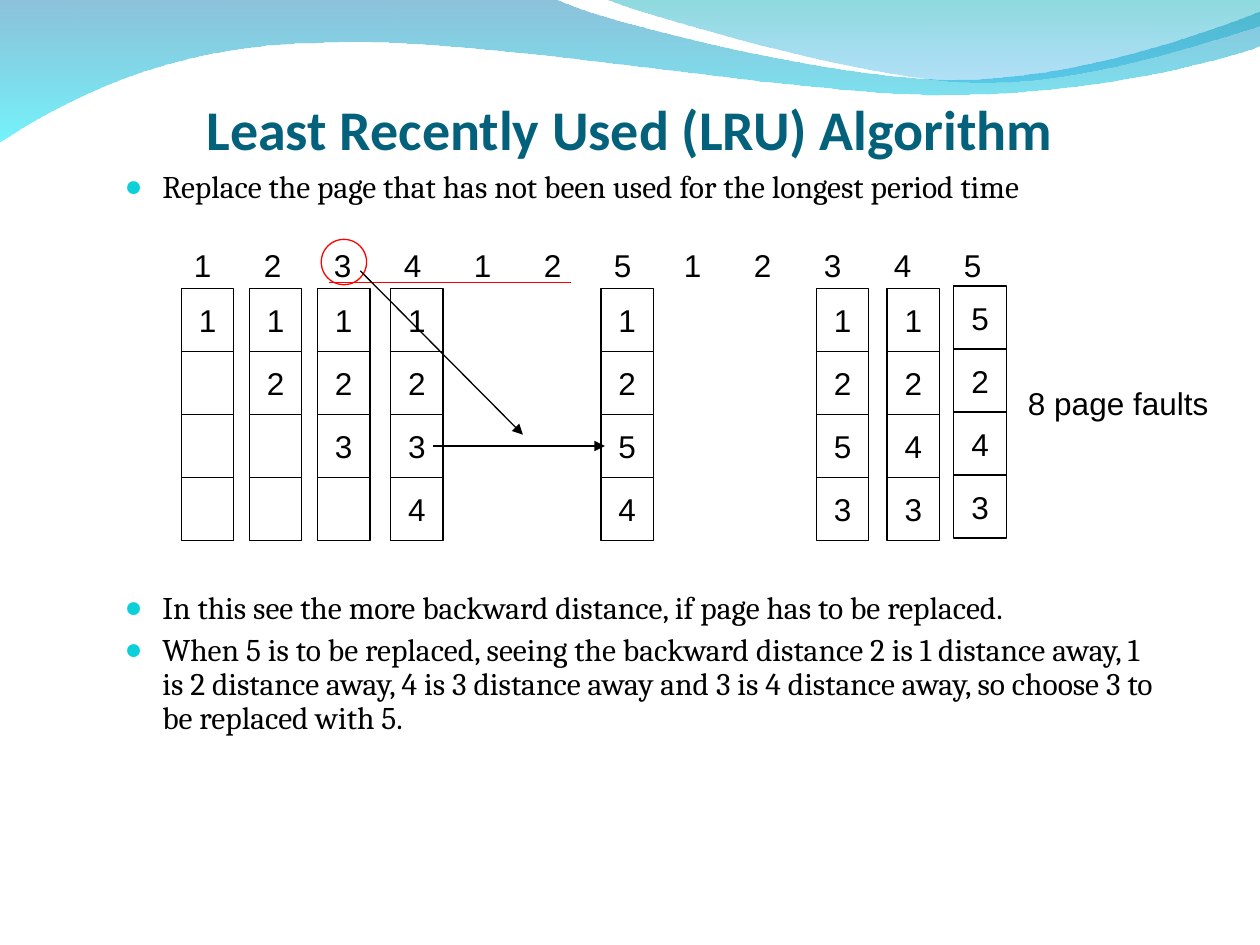
from lxml.etree import SubElement
from pptx import Presentation
from pptx.dml.color import RGBColor
from pptx.enum.shapes import MSO_CONNECTOR as Connector, MSO_SHAPE as Preset
from pptx.enum.text import MSO_ANCHOR as Anchor, MSO_AUTO_SIZE as AutoSize, PP_ALIGN as Align
from pptx.oxml.ns import qn
from pptx.util import Inches, Pt

REFERENCES = "1 2 3 4 1 2 5 1 2 3 4 5".split()
REFERENCE_PITCH = 5 / 9
CELL_WIDTH, CELL_HEIGHT = 5 / 12, 0.5
FRAME_COLUMNS = [
    (1.44, 2.29, ["1", "", "", ""]),
    (1.98, 2.29, ["1", "2", "", ""]),
    (2.52, 2.29, ["1", "2", "3", ""]),
    (3.1, 2.29, ["1", "2", "3", "4"]),
    (4.77, 2.29, ["1", "2", "5", "4"]),
    (6.48, 2.29, ["1", "2", "5", "3"]),
    (7.04, 2.29, ["1", "2", "4", "3"]),
    (7.57, 2.27, ["5", "2", "4", "3"]),
]
BULLETS = [
    ("Replace the page that has not been used for the longest period time", 0),
    ("In this see the more backward distance, if page has to be replaced.", 221),
    ("When 5 is to be replaced, seeing the backward distance 2 is 1 distance away, "
     "1 is 2 distance away, 4 is 3 distance away and 3 is 4 distance away, "
     "so choose 3 to be replaced with 5.", 4.5),
]
LARGE_WAVE = [
    (0, -0.01), [(4.4, -0.01)],
    [(4.76, 0.17), (6.64, 0.63), (7.58, 0.63)],
    [(8.53, 0.63), (9.58, 0.26), (10, 0.09)],
    [(10.01, 0.36)],
    [(9.83, 0.44), (8.7, 0.76), (7.46, 0.75)],
    [(6.22, 0.75), (3.82, 0.28), (2.57, 0.34)],
    [(1.29, 0.35), (0.46, 0.83), (-0.01, 1.13)],
]
SMALL_WAVE = [
    (4.79, -0.01),
    [(5.09, 0.11), (6.82, 0.62), (7.69, 0.65)],
    [(8.56, 0.69), (9.61, 0.32), (10, 0.21)],
    [(10, 0)],
]


def color(value):
    """Turn a hex string into a colour."""
    return RGBColor.from_string(value)


def write(paragraph, text, size=18, font="Arial", fill="000000", bold=False, align=Align.LEFT):
    """Add one formatted run to a paragraph."""
    paragraph.alignment = align
    run = paragraph.add_run()
    run.text = text
    run.font.size, run.font.name, run.font.bold = Pt(size), font, bold
    run.font.color.rgb = color(fill)


def add_text_box(slide, left, top, width, height, wrap=True, anchor=Anchor.TOP):
    """Add an empty text box and return its text frame."""
    frame = slide.shapes.add_textbox(
        Inches(left), Inches(top), Inches(width), Inches(height)).text_frame
    frame.word_wrap, frame.vertical_anchor = wrap, anchor
    return frame


def bend_sides(shape, segments):
    """Turn the straight sides that have control points into cubic curves."""
    sides = list(shape.element.spPr.iter(qn("a:lnTo")))
    for side, controls in zip(sides, segments):
        if len(controls) == 3:
            side.tag = qn("a:cubicBezTo")
            side.remove(side[0])
            for x, y in controls:
                SubElement(side, qn("a:pt"), x=str(Inches(x) - shape.left),
                           y=str(Inches(y) - shape.top))


def add_wave(slide, outline, stops):
    """Draw a translucent wave with a downward gradient of (colour, opacity) stops."""
    start, *segments = outline
    builder = slide.shapes.build_freeform(*map(Inches, start))
    builder.add_line_segments([tuple(map(Inches, controls[-1])) for controls in segments])
    shape = builder.convert_to_shape()
    bend_sides(shape, segments)
    shape.shadow.inherit = False
    shape.line.fill.background()
    shape.fill.gradient()
    shape.fill.gradient_angle = 270
    for position, (stop, (value, _)) in enumerate(zip(shape.fill.gradient_stops, stops)):
        stop.position, stop.color.rgb = position, color(value)
    for element, (_, opacity) in zip(shape.element.spPr.iter(qn("a:srgbClr")), stops):
        SubElement(element, qn("a:alpha"), val=str(opacity * 1000))


def place_title(slide, text, left, top, width, height):
    """Move and format the title placeholder."""
    title = slide.shapes.title
    title.left, title.top, title.width, title.height = map(Inches, (left, top, width, height))
    frame = title.text_frame
    frame.auto_size, frame.vertical_anchor = AutoSize.NONE, Anchor.BOTTOM
    frame.margin_left = frame.margin_right = frame.margin_bottom = 0
    frame.margin_top = Inches(0.05)
    write(frame.paragraphs[0], text, size=32, font="Calibri", fill="04617B",
          bold=True, align=Align.CENTER)


def add_bullets(slide, bullets, left, top, width, height):
    """Add the bulleted text, leaving room for the diagram by paragraph spacing."""
    frame = add_text_box(slide, left, top, width, height)
    for index, (text, space) in enumerate(bullets):
        paragraph = frame.paragraphs[0] if index == 0 else frame.add_paragraph()
        properties = paragraph._p.get_or_add_pPr()
        properties.set("marL", str(Inches(0.3)))
        properties.set("indent", str(Inches(-0.3)))
        SubElement(SubElement(properties, qn("a:buClr")), qn("a:srgbClr"), val="0BD0D9")
        SubElement(properties, qn("a:buSzPct"), val="95000")
        SubElement(properties, qn("a:buFont"), typeface="Arial")
        SubElement(properties, qn("a:buChar"), char="●")
        paragraph.line_spacing = 0.9
        if space:
            paragraph.space_before = Pt(space)
        write(paragraph, text, font="Cambria")


def add_references(slide, references, left, top, width, height):
    """Add the page reference string on evenly spaced tab stops."""
    paragraph = add_text_box(slide, left, top, width, height).paragraphs[0]
    tabs = SubElement(paragraph._p.get_or_add_pPr(), qn("a:tabLst"))
    for index in range(1, len(references)):
        SubElement(tabs, qn("a:tab"), pos=str(Inches(index * REFERENCE_PITCH)), algn="l")
    write(paragraph, "\t".join(references))


def add_frame_column(slide, left, top, pages):
    """Add a grouped column of memory frames."""
    group = slide.shapes.add_group_shape()
    for row, page in enumerate(pages):
        cell = group.shapes.add_shape(
            Preset.RECTANGLE, Inches(left), Inches(top + row * CELL_HEIGHT),
            Inches(CELL_WIDTH), Inches(CELL_HEIGHT))
        cell.shadow.inherit = False
        cell.fill.solid()
        cell.fill.fore_color.rgb = color("FFFFFF")
        cell.line.color.rgb, cell.line.width = color("000000"), Pt(0.75)
        if page:
            cell.text_frame.word_wrap = False
            cell.text_frame.vertical_anchor = Anchor.MIDDLE
            write(cell.text_frame.paragraphs[0], page, align=Align.CENTER)


def add_line(slide, start, end, stroke="000000", arrow=False):
    """Draw a straight line, with an arrowhead at its end if asked."""
    line = slide.shapes.add_connector(Connector.STRAIGHT, *map(Inches, (*start, *end)))
    line.line.color.rgb, line.line.width = color(stroke), Pt(0.75)
    if arrow:
        SubElement(line.line._get_or_add_ln(), qn("a:tailEnd"), type="triangle")
    SubElement(line.element.spPr, qn("a:effectLst"))


def add_circle(slide, left, top, size):
    """Circle the page to be replaced."""
    circle = slide.shapes.add_shape(
        Preset.OVAL, Inches(left), Inches(top), Inches(size), Inches(size))
    circle.shadow.inherit = False
    circle.fill.background()
    circle.line.color.rgb, circle.line.width = color("FF0000"), Pt(0.75)


def build_slide(presentation):
    """Build the page replacement slide."""
    slide = presentation.slides.add_slide(presentation.slide_layouts[5])
    add_wave(slide, LARGE_WAVE, [("0079AF", 45), ("00EBF8", 55)])
    add_wave(slide, SMALL_WAVE, [("00ADB6", 45), ("009BE5", 30)])
    place_title(slide, "Least Recently Used (LRU) Algorithm", 0.5, 0.77, 9, 0.51)
    add_bullets(slide, BULLETS, 0.89, 1.31, 8.43, 5.38)
    faults = add_text_box(slide, 8.06, 3, 1.63, 0.4, wrap=False, anchor=Anchor.MIDDLE)
    write(faults.paragraphs[0], "8 page faults", align=Align.CENTER)
    add_references(slide, REFERENCES, 1.44, 1.9, 6.45, 0.4)
    for left, top, pages in FRAME_COLUMNS:
        add_frame_column(slide, left, top, pages)
    add_line(slide, (2.61, 2.24), (4.53, 2.24), stroke="FF0000")
    add_circle(slide, 2.55, 1.9, 0.36)
    add_line(slide, (2.86, 2.15), (4.15, 3.45), arrow=True)
    add_line(slide, (3.44, 3.54), (4.8, 3.54), arrow=True)


def main():
    """Create and save the presentation."""
    presentation = Presentation()
    presentation.slide_width, presentation.slide_height = Inches(10), Inches(7.5)
    build_slide(presentation)
    presentation.save("out.pptx")


if __name__ == "__main__":
    main()
